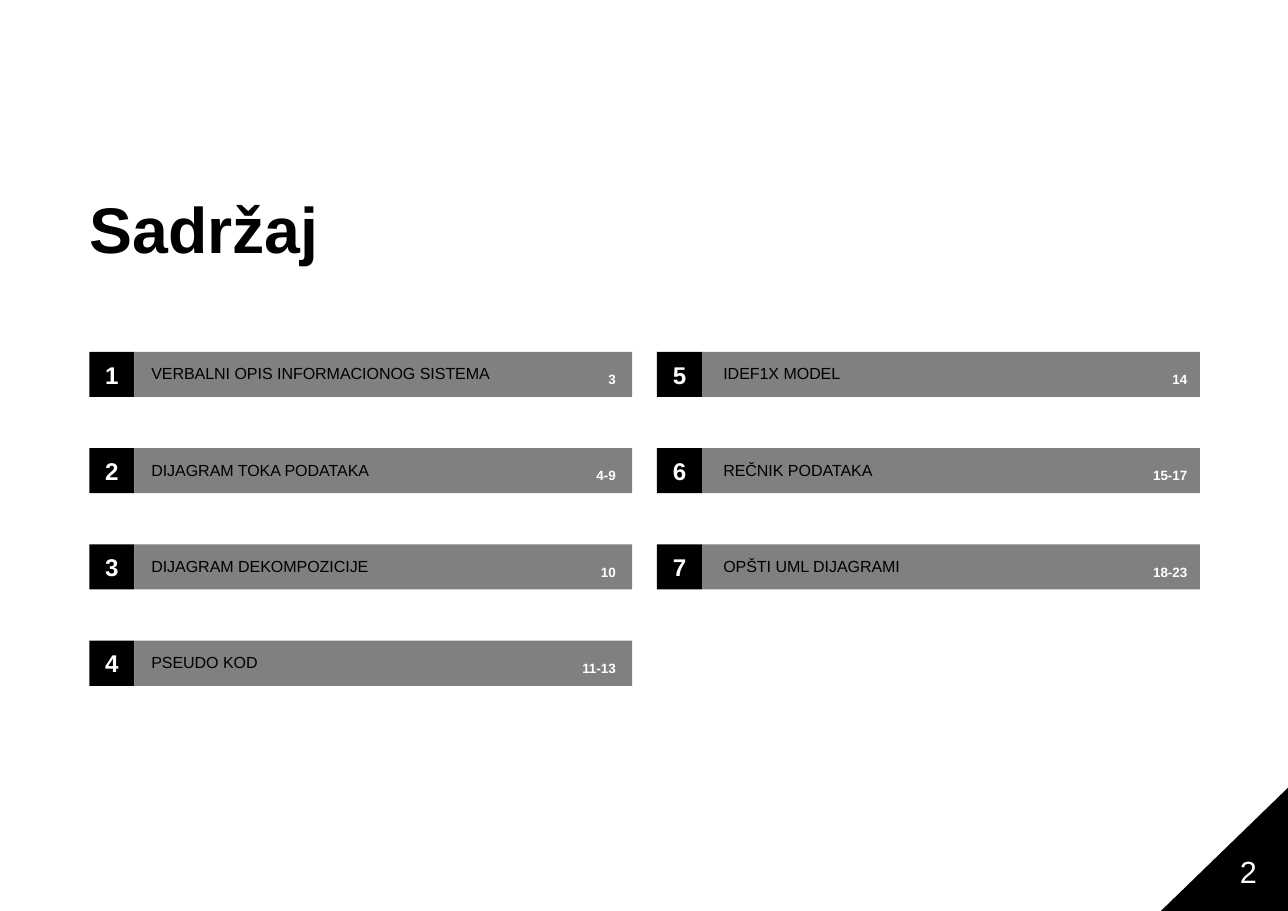
from dataclasses import dataclass

from pptx import Presentation
from pptx.dml.color import RGBColor
from pptx.enum.text import MSO_ANCHOR, PP_ALIGN
from pptx.enum.shapes import MSO_SHAPE
from pptx.util import Cm, Pt

BLACK = RGBColor(0x00, 0x00, 0x00)
WHITE = RGBColor(0xFF, 0xFF, 0xFF)
GRAY = RGBColor(0x80, 0x80, 0x80)
FONT = "Arial"
LEFT, CENTER, RIGHT = PP_ALIGN.LEFT, PP_ALIGN.CENTER, PP_ALIGN.RIGHT
TOP, MIDDLE = MSO_ANCHOR.TOP, MSO_ANCHOR.MIDDLE
RECTANGLE = MSO_SHAPE.RECTANGLE

# Lengths in centimetres
PAGE_WIDTH, PAGE_HEIGHT = 29.7, 21.0
FIRST_ROW, ROW_STEP = 8.11, 2.22
ROWS_PER_COLUMN = 4
NUMBER_SIZE, BAR_WIDTH = 1.04, 11.48
LABEL_WIDTH, LABEL_HEIGHT, LABEL_DROP = 8.5, 0.66, 0.2
PAGES_WIDTH, PAGES_HEIGHT, PAGES_DROP = 1.12, 0.76, 0.14
INSET = 0.12
CORNER_WIDTH, CORNER_HEIGHT = 2.93, 2.84


@dataclass
class Entry:
    label: str
    pages: str


@dataclass
class Column:
    left: float
    label_left: float
    pages_left: float


@dataclass
class TextStyle:
    size: float
    color: RGBColor
    bold: bool = False
    align: PP_ALIGN = LEFT
    anchor: MSO_ANCHOR = TOP
    spacing: float | Pt = 1.0
    inset: float = INSET


ENTRIES = [
    Entry("VERBALNI OPIS INFORMACIONOG SISTEMA", "3"),
    Entry("DIJAGRAM TOKA PODATAKA", "4-9"),
    Entry("DIJAGRAM DEKOMPOZICIJE", "10"),
    Entry("PSEUDO KOD", "11-13"),
    Entry("IDEF1X MODEL", "14"),
    Entry("REČNIK PODATAKA", "15-17"),
    Entry("OPŠTI UML DIJAGRAMI", "18-23"),
]
COLUMNS = [Column(2.06, 3.37, 13.2), Column(15.15, 16.56, 26.38)]

TITLE_STYLE = TextStyle(42.1, BLACK, True, anchor=MIDDLE, inset=0)
NUMBER_STYLE = TextStyle(15.8, WHITE, True, CENTER, MIDDLE)
LABEL_STYLE = TextStyle(10.5, BLACK, anchor=MIDDLE, spacing=0.9)
PAGES_STYLE = TextStyle(8.8, WHITE, True, RIGHT, spacing=1.5)
PAGE_NUMBER_STYLE = TextStyle(20, WHITE, spacing=Pt(23.1), inset=0)


def write(shape, text: str, style: TextStyle) -> None:
    frame = shape.text_frame
    frame.word_wrap = True
    frame.vertical_anchor = style.anchor
    frame.margin_left = frame.margin_right = Cm(style.inset)
    frame.margin_top = frame.margin_bottom = Cm(style.inset)
    para = frame.paragraphs[0]
    para.text = text
    para.alignment = style.align
    para.line_spacing = style.spacing
    para.font.name = FONT
    para.font.size = Pt(style.size)
    para.font.bold = style.bold
    para.font.color.rgb = style.color


def paint(shape, color: RGBColor) -> None:
    shape.shadow.inherit = False
    shape.fill.solid()
    shape.fill.fore_color.rgb = color
    shape.line.fill.background()


def add_block(page, left: float, top: float, width: float, color: RGBColor):
    block = page.shapes.add_shape(RECTANGLE, Cm(left), Cm(top), Cm(width), Cm(NUMBER_SIZE))
    paint(block, color)
    return block


def add_text(page, left: float, top: float, width: float, height: float,
             text: str, style: TextStyle) -> None:
    box = page.shapes.add_textbox(Cm(left), Cm(top), Cm(width), Cm(height))
    write(box, text, style)


def add_entry(page, index: int, entry: Entry) -> None:
    column_index, row = divmod(index, ROWS_PER_COLUMN)
    column = COLUMNS[column_index]
    top = FIRST_ROW + row * ROW_STEP
    number = add_block(page, column.left, top, NUMBER_SIZE, BLACK)
    write(number, str(index + 1), NUMBER_STYLE)
    add_block(page, column.left + NUMBER_SIZE, top, BAR_WIDTH, GRAY)
    add_text(page, column.label_left, top + LABEL_DROP, LABEL_WIDTH, LABEL_HEIGHT,
             entry.label, LABEL_STYLE)
    add_text(page, column.pages_left, top + PAGES_DROP, PAGES_WIDTH, PAGES_HEIGHT,
             entry.pages, PAGES_STYLE)


def add_corner(page) -> None:
    right, bottom = Cm(PAGE_WIDTH), Cm(PAGE_HEIGHT)
    builder = page.shapes.build_freeform(right, Cm(PAGE_HEIGHT - CORNER_HEIGHT))
    builder.add_line_segments([(Cm(PAGE_WIDTH - CORNER_WIDTH), bottom), (right, bottom)])
    paint(builder.convert_to_shape(), BLACK)


def main() -> None:
    deck = Presentation()
    deck.slide_width, deck.slide_height = Cm(PAGE_WIDTH), Cm(PAGE_HEIGHT)
    page = deck.slides.add_slide(deck.slide_layouts.get_by_name("Title Only"))

    # Title
    title = page.shapes.title
    title.left, title.top = Cm(2.06), Cm(3.56)
    title.width, title.height = Cm(14), Cm(3.4)
    write(title, "Sadržaj", TITLE_STYLE)

    # Contents
    for index, entry in enumerate(ENTRIES):
        add_entry(page, index, entry)

    # Page number in the corner
    add_corner(page)
    add_text(page, 28.59, 19.69, 1, 0.81, "2", PAGE_NUMBER_STYLE)

    deck.save("out.pptx")


if __name__ == "__main__":
    main()
